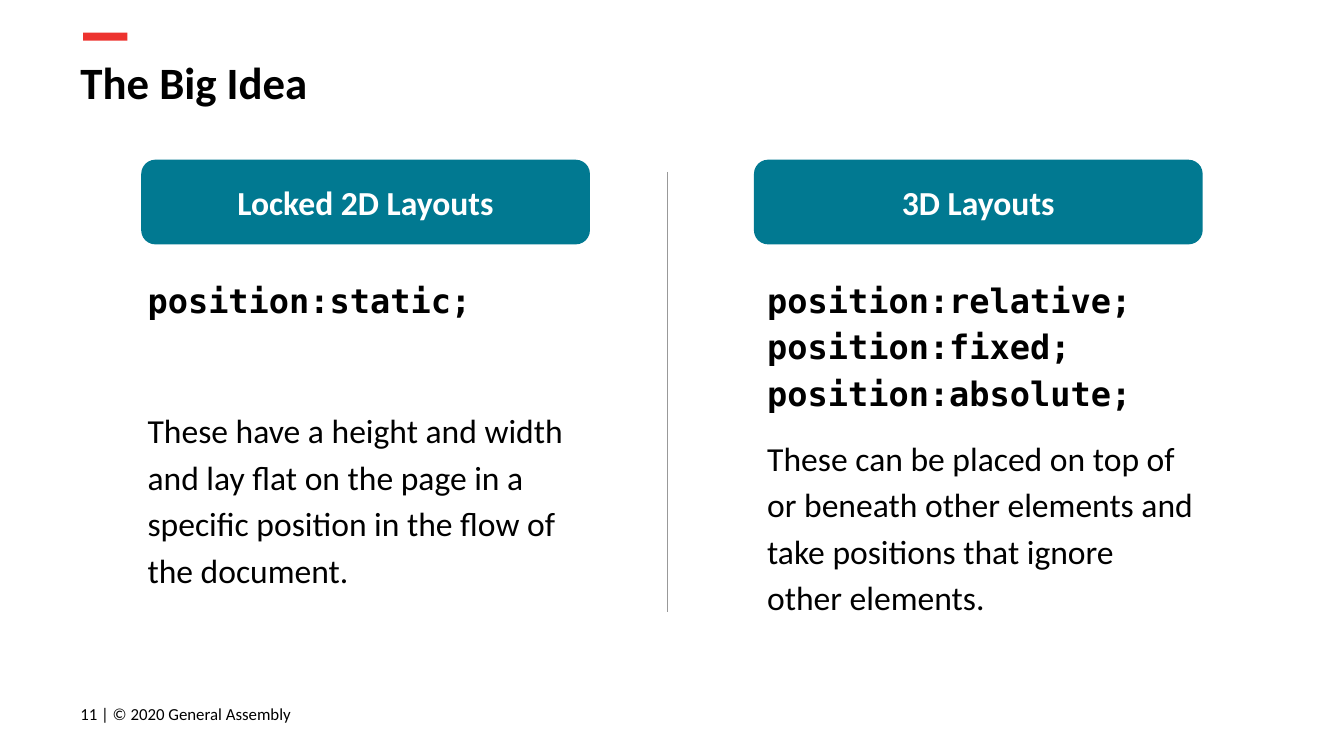
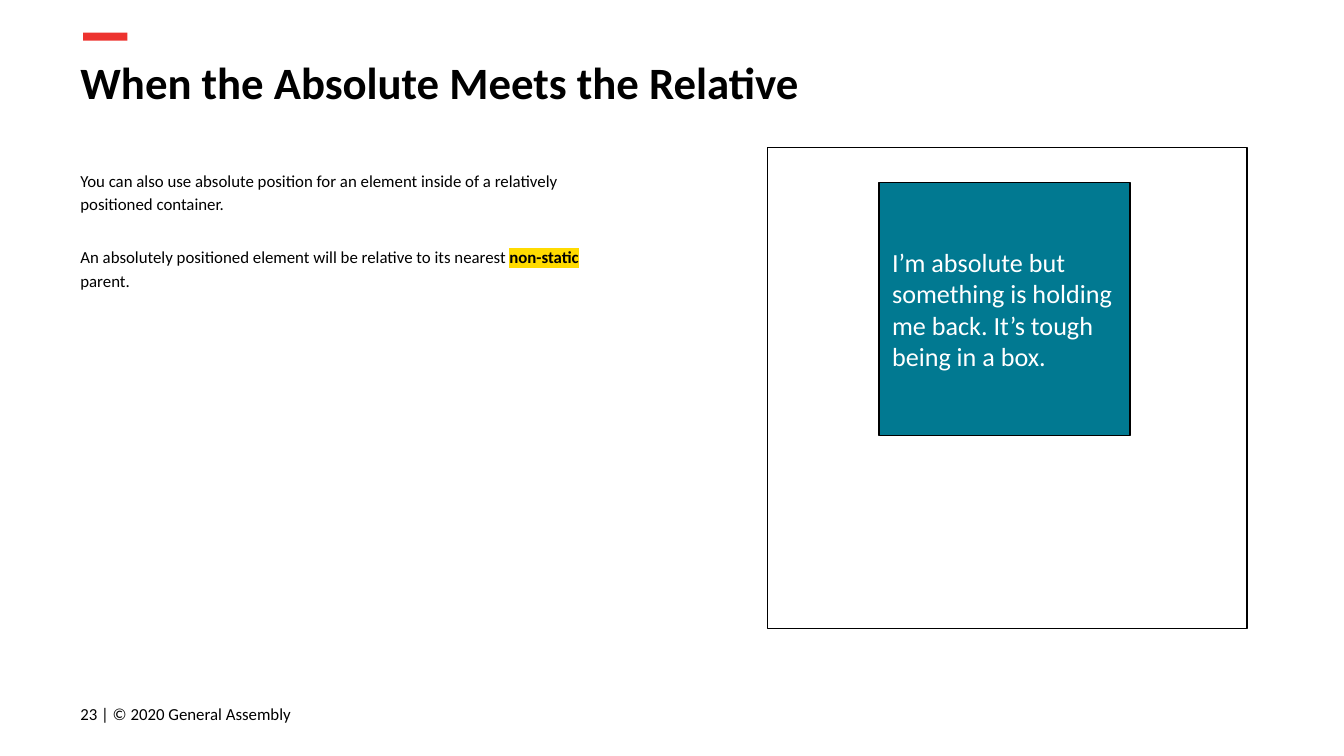
from lxml import etree
from pptx import Presentation
from pptx.dml.color import RGBColor
from pptx.enum.shapes import MSO_CONNECTOR, MSO_SHAPE
from pptx.enum.text import MSO_ANCHOR, PP_ALIGN
from pptx.oxml.ns import qn
from pptx.util import Cm, Pt

RED, TEAL, YELLOW = "ED332F", "017991", "FFDB00"
BLACK, WHITE, GREY = "000000", "FFFFFF", "999999"
SANS, MONO = "Calibri", "DejaVu Sans Mono"
LEFT = 1.27
rgb = RGBColor.from_string


def add_box(s, box, shape=None, fill=None, line=None, anchor=MSO_ANCHOR.TOP):
    """Add a preset shape, or a text box when shape is None; box is in cm."""
    box = [Cm(v) for v in box]
    if shape is None:
        sp = s.shapes.add_textbox(*box)
    else:
        sp = s.shapes.add_shape(shape, *box)
        sp.shadow.inherit = False
        if fill:
            sp.fill.solid()
            sp.fill.fore_color.rgb = rgb(fill)
        else:
            sp.fill.background()
        if line:
            sp.line.color.rgb = rgb(line)
            sp.line.width = Pt(0.75)
        else:
            sp.line.fill.background()
    tf = sp.text_frame
    tf.word_wrap = True
    tf.vertical_anchor = anchor
    tf.margin_left = tf.margin_right = tf.margin_top = tf.margin_bottom = Cm(0.25)
    return sp


def style(p, size, color=BLACK, bold=False, font=SANS, align=PP_ALIGN.LEFT):
    p.alignment = align
    for r in p.runs:
        r.font.size = Pt(size)
        r.font.bold = bold
        r.font.color.rgb = rgb(color)
        r.font.name = font


prs = Presentation()
prs.slide_width, prs.slide_height = Cm(25.4), Cm(14.29)

# Shared frame: red bar, title, footer
slides = []
for number, title in [(11, "The Big Idea"), (23, "When the Absolute Meets the Relative")]:
    s = prs.slides.add_slide(prs.slide_layouts[6])
    add_box(s, (1.57, 0.62, 0.84, 0.15), MSO_SHAPE.RECTANGLE, RED)
    tf = add_box(s, (LEFT, 0.79, 23.67, 1.6)).text_frame
    tf.text = title
    style(tf.paragraphs[0], 24, bold=True)
    tf = add_box(s, (LEFT, 12.95, 6.58, 1.09), anchor=MSO_ANCHOR.MIDDLE).text_frame
    tf.text = f"{number} | © 2020 General Assembly"
    style(tf.paragraphs[0], 9)
    slides.append(s)
idea, nested = slides

# The Big Idea: two columns and a divider
columns = [
    ("Locked 2D Layouts", 2.67, (2.54, 4.93, 8.48, 5.97), "position:static;", 45,
     "These have a height and width and lay flat on the page in a specific position "
     "in the flow of the document."),
    ("3D Layouts", 14.25, (14.25, 4.93, 8.61, 7.72),
     "position:relative;\vposition:fixed;\vposition:absolute;", 10,
     "These can be placed on top of or beneath other elements and take positions "
     "that ignore other elements."),
]
for heading, x, box, code, gap, description in columns:
    sp = add_box(idea, (x, 3.02, 8.48, 1.6), MSO_SHAPE.ROUNDED_RECTANGLE, TEAL,
                 anchor=MSO_ANCHOR.MIDDLE)
    sp.text_frame.text = heading
    style(sp.text_frame.paragraphs[0], 18, WHITE, True, align=PP_ALIGN.CENTER)

    tf = add_box(idea, box).text_frame
    p = tf.paragraphs[0]
    p.text = code
    p.line_spacing = 1.15
    style(p, 18, bold=True, font=MONO)
    p = tf.add_paragraph()
    p.text = description
    p.line_spacing = 1.15
    p.space_before = Pt(gap)
    style(p, 18)

divider = idea.shapes.add_connector(MSO_CONNECTOR.STRAIGHT, Cm(12.62), Cm(3.25), Cm(12.62), Cm(11.56))
divider.line.color.rgb = rgb(GREY)
divider.line.width = Pt(0.75)
etree.SubElement(divider._element.spPr, qn("a:effectLst"))

# When the Absolute Meets the Relative: container with a box inside
add_box(nested, (14.5, 2.79, 9.07, 9.09), MSO_SHAPE.RECTANGLE, line=BLACK)
sp = add_box(nested, (16.61, 3.45, 4.75, 4.78), MSO_SHAPE.RECTANGLE, TEAL, BLACK, MSO_ANCHOR.MIDDLE)
sp.text_frame.text = "I’m absolute but something is holding me back. It’s tough being in a box."
style(sp.text_frame.paragraphs[0], 14, WHITE)

tf = add_box(nested, (LEFT, 2.92, 10.08, 8.15)).text_frame
tf.text = ("You can also use absolute position for an element inside of a relatively "
           "positioned container.")
p = tf.add_paragraph()
p.space_before = Pt(16)
for text in ["An absolutely positioned element will be relative to its nearest ",
             "non-static", " parent."]:
    p.add_run().text = text
for p in tf.paragraphs:
    p.line_spacing = 1.15
    style(p, 9)

# Highlight the key word; the schema wants it before the font name
key = tf.paragraphs[1].runs[1]
key.font.bold = True
highlight = etree.Element(qn("a:highlight"))
etree.SubElement(highlight, qn("a:srgbClr"), val=YELLOW)
key._r.rPr.find(qn("a:latin")).addprevious(highlight)

prs.save("out.pptx")
